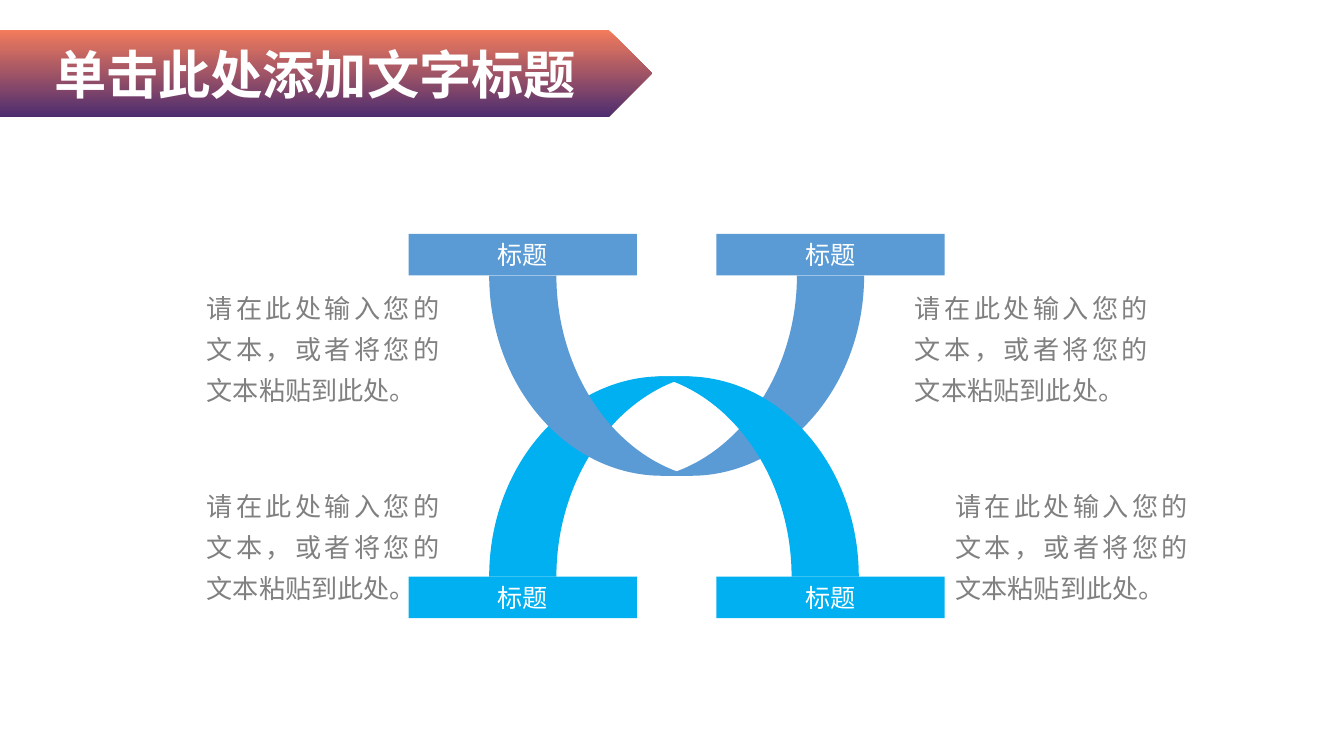
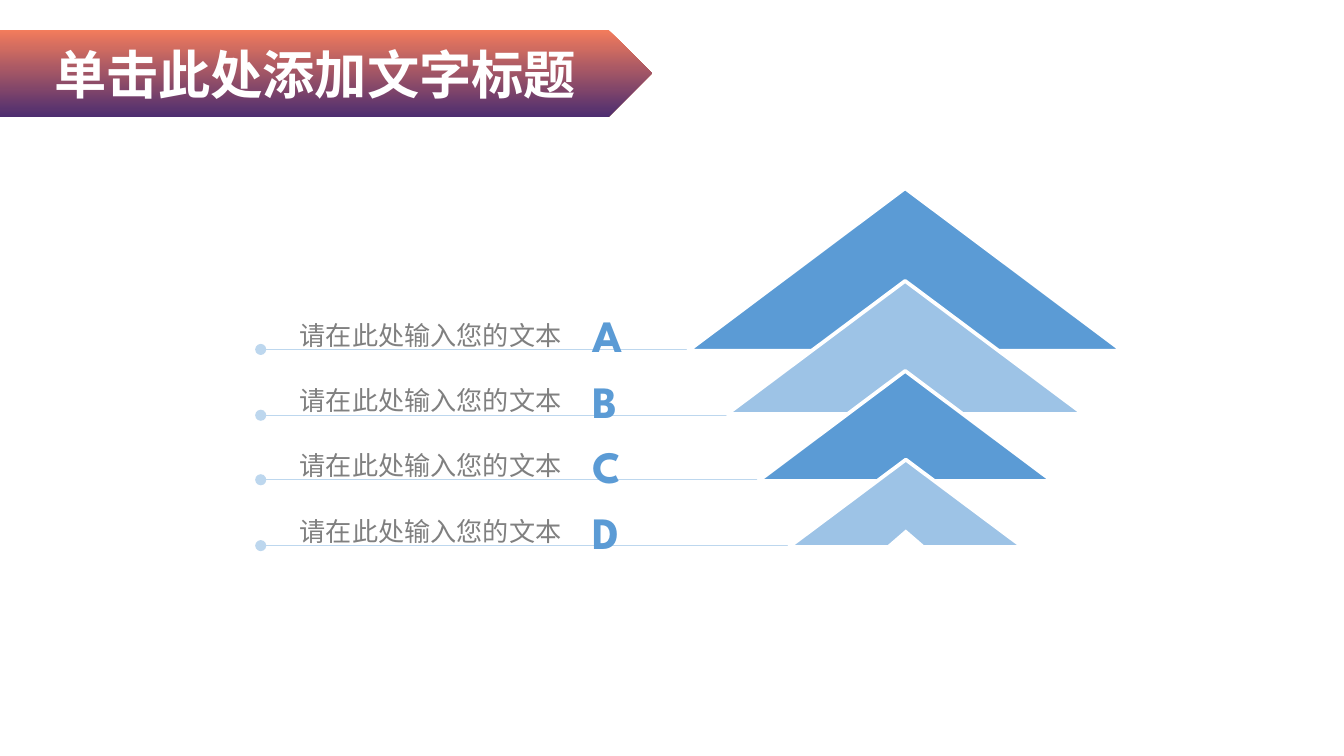
from dataclasses import dataclass

from lxml.etree import SubElement
from pptx import Presentation
from pptx.dml.color import RGBColor
from pptx.enum.shapes import MSO_CONNECTOR, MSO_SHAPE
from pptx.enum.text import MSO_ANCHOR, MSO_AUTO_SIZE, PP_ALIGN
from pptx.oxml.ns import qn
from pptx.util import Pt

PX = 9144  # EMU per px, 1000 px across the slide


@dataclass(frozen=True)
class Theme:
    white: RGBColor = RGBColor.from_string("FFFFFF")
    blue: RGBColor = RGBColor.from_string("5B9BD5")
    light_blue: RGBColor = RGBColor.from_string("9DC3E6")
    pale_blue: RGBColor = RGBColor.from_string("BDD7EE")
    cyan: RGBColor = RGBColor.from_string("00B0F0")
    grey: RGBColor = RGBColor.from_string("808080")
    band_top: RGBColor = RGBColor.from_string("F37C5C")
    band_bottom: RGBColor = RGBColor.from_string("4D2D70")
    cjk_font: str = "Noto Sans CJK SC"
    body_font: str = "Arial"
    letter_font: str = "League Spartan"
    title_size: float = 28
    letter_size: float = 24
    body_size: float = 14
    bar_size: float = 13.5


THEME = Theme()


def add_block(parent, preset, box, color):
    block = parent.shapes.add_shape(preset, *(length * PX for length in box))
    block.shadow.inherit = False
    block.fill.solid()
    block.fill.fore_color.rgb = color
    block.line.fill.background()
    return block


def write(shape, text, font, size, color, bold=False, align=PP_ALIGN.CENTER,
          anchor=MSO_ANCHOR.MIDDLE, spacing=None, inset=(7, 4), grow=False):
    """Fill a shape or text box with one paragraph; inset is (side, top and bottom)."""
    frame = shape.text_frame
    frame.word_wrap = True
    frame.auto_size = MSO_AUTO_SIZE.SHAPE_TO_FIT_TEXT if grow else MSO_AUTO_SIZE.NONE
    frame.vertical_anchor = anchor
    frame.margin_left = frame.margin_right = inset[0] * PX
    frame.margin_top = frame.margin_bottom = inset[1] * PX
    paragraph = frame.paragraphs[0]
    paragraph.text = text
    paragraph.alignment = align
    paragraph.line_spacing = spacing
    paragraph.font.size = Pt(size)
    paragraph.font.bold = bold
    paragraph.font.color.rgb = color
    paragraph.font.name = font
    east_asian = SubElement(paragraph.font._element, qn("a:ea"))
    east_asian.set("typeface", THEME.cjk_font)


deck = Presentation()
deck.slide_width, deck.slide_height = 1000 * PX, 1125 * PX // 2

# Shared title band and body background
for _ in range(2):
    slide = deck.slides.add_slide(deck.slide_layouts[6])
    band = add_block(slide, MSO_SHAPE.PENTAGON, (0, 22, 485, 65), THEME.white)
    band.fill.gradient()
    band.fill.gradient_angle = 270
    for stop, color in zip(band.fill.gradient_stops, (THEME.band_top, THEME.band_bottom)):
        stop.color.rgb = color
    write(band, "单击此处添加文字标题", THEME.cjk_font, THEME.title_size, THEME.white, bold=True)
    add_block(slide, MSO_SHAPE.RECTANGLE, (0, 88, 1000, 443), THEME.white)

arches, peaks = deck.slides

# Slide 1: four curved legs, each standing on a titled bar.
# Points are measured from the outer corner of the foot. After the start come
# the outer curve (two controls and its end), the tip, and the inner curve.
leg_points = ((0, 0), (0, 82), (58, 149), (129, 149),
              (150, 149), (92, 134), (50, 71), (50, 0))

# foot x, foot y, x direction, y direction, bar left, bar top, color
legs = (
    (364, 429, 1, -1, 304, 429, THEME.cyan),
    (364, 205, 1, 1, 304, 174, THEME.blue),
    (643, 205, -1, 1, 533, 174, THEME.blue),
    (639, 429, -1, -1, 533, 429, THEME.cyan),
)
for foot_x, foot_y, across, down, bar_left, bar_top, color in legs:
    group = arches.shapes.add_group_shape()
    outline = [(foot_x + across * x, foot_y + down * y) for x, y in leg_points]
    builder = group.shapes.build_freeform(*outline[0], scale=PX)
    builder.add_line_segments(outline[1:], close=True)
    leg = builder.convert_to_shape()
    leg.shadow.inherit = False
    leg.fill.solid()
    leg.fill.fore_color.rgb = color
    leg.line.fill.background()
    # Turn each run of two controls and an end point into a cubic curve
    segments = list(leg._element.iter(qn("a:lnTo")))
    for first in (0, 4):
        curve = segments[first].makeelement(qn("a:cubicBezTo"))
        segments[first].addprevious(curve)
        for segment in segments[first:first + 3]:
            curve.append(segment[0])
            segment.getparent().remove(segment)
    bar = add_block(group, MSO_SHAPE.RECTANGLE, (bar_left, bar_top, 170, 31), color)
    write(bar, "标题", THEME.cjk_font, THEME.bar_size, THEME.white)

for left, top in ((144, 206), (144, 353), (671, 206), (701, 353)):
    note = arches.shapes.add_textbox(left * PX, top * PX, 193 * PX, 102 * PX)
    write(note, "请在此处输入您的文本，或者将您的文本粘贴到此处。", THEME.body_font,
          THEME.body_size, THEME.grey, align=PP_ALIGN.JUSTIFY, anchor=MSO_ANCHOR.TOP,
          spacing=1.3, inset=(10, 5), grow=True)

# Slide 2: stacked peaks with one lettered line each
row_lines = (260, 309, 357, 406)
for y in row_lines:
    leader = peaks.shapes.add_connector(MSO_CONNECTOR.STRAIGHT,
                                        194 * PX, y * PX, 602 * PX, y * PX)
    leader.line.color.rgb = THEME.pale_blue
    leader.line.width = Pt(0.75)
    SubElement(leader.line._get_or_add_ln(), qn("a:headEnd")).set("type", "oval")
    SubElement(leader._element.spPr, qn("a:effectLst"))

layers = (
    ((512, 140, 323, 121), THEME.blue),
    ((541, 209, 265, 99), THEME.light_blue),
    ((564, 276, 219, 82), THEME.blue),
    ((587, 342, 174, 65), THEME.light_blue),
)
for box, color in layers:
    peak = add_block(peaks, MSO_SHAPE.ISOSCELES_TRIANGLE, box, color)
    peak.line.color.rgb = THEME.white
    peak.line.width = Pt(2)
add_block(peaks, MSO_SHAPE.ISOSCELES_TRIANGLE, (659, 394, 30, 13), THEME.white)

for y, initial in zip(row_lines, "ABCD"):
    letter = peaks.shapes.add_textbox(431 * PX, (y - 28) * PX, 35 * PX, 42 * PX)
    write(letter, initial, THEME.letter_font, THEME.letter_size, THEME.blue, bold=True,
          anchor=MSO_ANCHOR.TOP, spacing=0.8, inset=(10, 5), grow=True)

for y in row_lines:
    label = peaks.shapes.add_textbox(210 * PX, (y - 35) * PX, 221 * PX, 41 * PX)
    write(label, "请在此处输入您的文本", THEME.body_font, THEME.body_size, THEME.grey,
          spacing=1.3, inset=(10, 5), grow=True)

deck.save("out.pptx")
